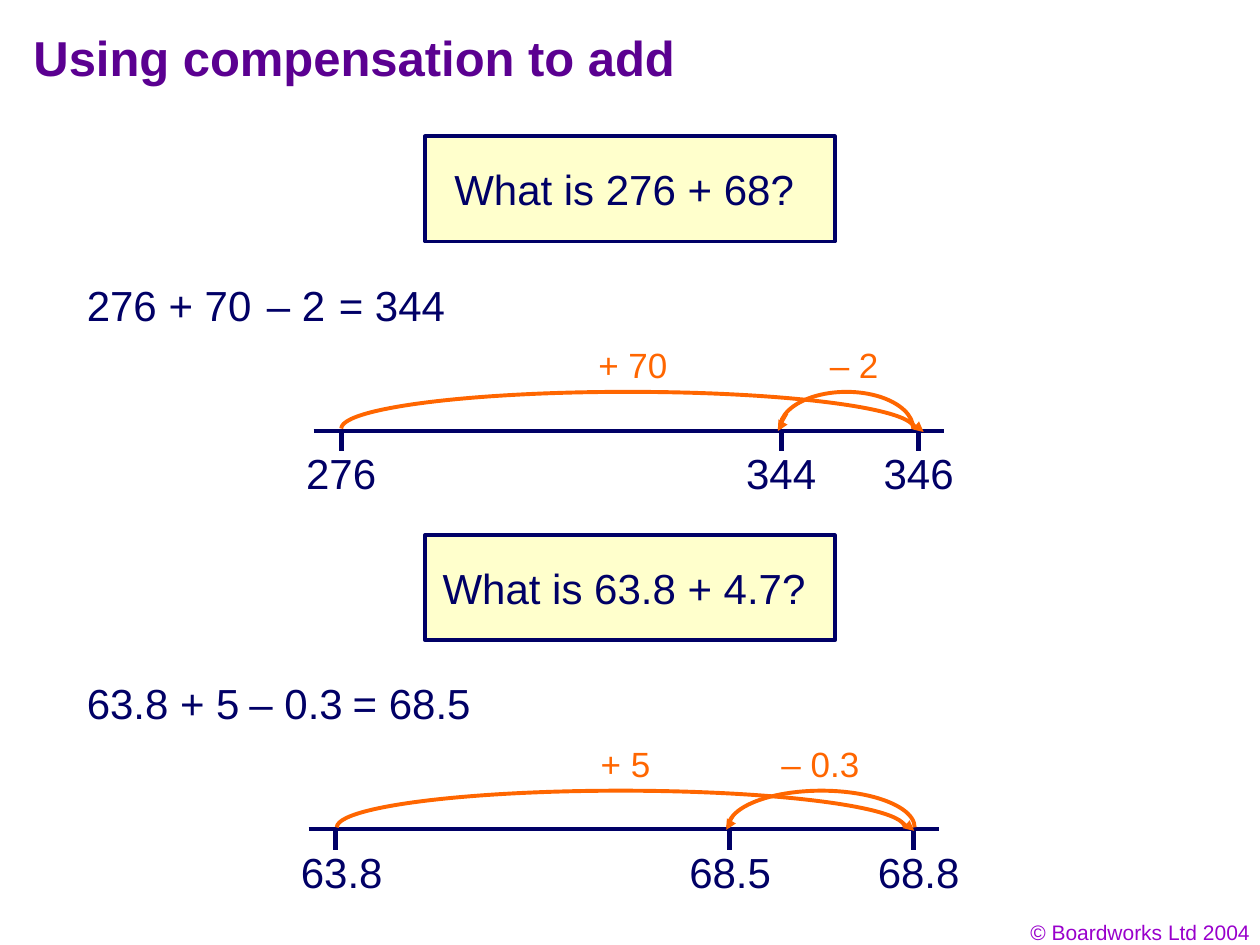
import lxml.etree
import pptx
import pptx.dml.color
import pptx.enum.shapes
import pptx.enum.text
import pptx.oxml.ns
import pptx.util

Cm = pptx.util.Cm
qn = pptx.oxml.ns.qn
ALIGN = pptx.enum.text.PP_ALIGN
ANCHOR = pptx.enum.text.MSO_ANCHOR

NAVY, INK, ORANGE = "000066", "010066", "FF6600"
VALUE = {"size": pptx.util.Pt(24), "name": "Arial"}
JUMP = {"size": pptx.util.Pt(20), "name": "Arial"}
TITLE = {"size": pptx.util.Pt(28), "name": "Arial", "bold": True}
CREDIT = {"size": pptx.util.Pt(12), "name": "Arial"}

# Positions in cm; terms are (text, left, width), ticks (text, x, label centre),
# jumps (text, label centre, label width, arc left, arc right).
PROBLEMS = [
    {
        "top": 2.75,
        "question": "What is 276 + 68? ",
        "terms": [("276", 1.5, 1.9), ("+ 70", 3.15, 2.18),
                  ("– 2", 5.13, 1.68), ("= 344", 6.58, 2.64)],
        "axis_left": 6.32,
        "ticks": [("276", 6.88, 6.88), ("344", 15.75, 15.75), ("346", 18.52, 18.52)],
        "tick_label_width": 1.9,
        "forward": ("+ 70", 12.76, 1.9, 6.88, 18.43),
        "back": ("– 2", 17.22, 1.47, 15.72, 18.41),
    },
    {
        "top": 10.79,
        "question": "What is 63.8 + 4.7? ",
        "terms": [("63.8", 1.5, 2.16), ("+ 5", 3.38, 1.7),
                  ("– 0.3", 4.78, 2.39), ("= 68.5", 6.86, 2.87)],
        "axis_left": 6.22,
        "ticks": [("63.8", 6.76, 6.89), ("68.5", 14.71, 14.72), ("68.8", 18.42, 18.52)],
        "tick_label_width": 2.16,
        "forward": ("+ 5", 12.61, 1.5, 6.79, 18.24),
        "back": ("– 0.3", 16.54, 2.08, 14.68, 18.44),
    },
]


def rgb(value):
    return pptx.dml.color.RGBColor.from_string(value)


def write(sp, text, font, color, align=ALIGN.LEFT, anchor=ANCHOR.TOP, wrap=False):
    tf = sp.text_frame
    frame = {"auto_size": pptx.enum.text.MSO_AUTO_SIZE.NONE,
             "word_wrap": wrap, "vertical_anchor": anchor}
    for name, value in frame.items():
        setattr(tf, name, value)
    p = tf.paragraphs[0]
    p.alignment = align
    r = p.add_run()
    r.text = text
    for name, value in font.items():
        setattr(r.font, name, value)
    r.font.color.rgb = rgb(color)


def add_text(s, x, y, w, h, text, font, color, **layout):
    sp = s.shapes.add_textbox(Cm(x), Cm(y), Cm(w), Cm(h))
    write(sp, text, font, color, **layout)


def add_title(s, text):
    sp = s.shapes.title
    place = {"left": Cm(0.42), "top": Cm(0.42), "width": Cm(21.39), "height": Cm(1.69)}
    for name, value in place.items():
        setattr(sp, name, value)
    write(sp, text, TITLE, "5B0091", wrap=True)


def add_question(s, top, text):
    sp = s.shapes.add_shape(pptx.enum.shapes.MSO_SHAPE.RECTANGLE,
                            Cm(8.57), Cm(top), Cm(8.26), Cm(2.12))
    sp.shadow.inherit = False
    sp.fill.solid()
    sp.fill.fore_color.rgb = rgb("FFFFCC")
    set_line(sp, NAVY, 2.25)
    write(sp, text, VALUE, NAVY, ALIGN.CENTER, ANCHOR.MIDDLE)


def set_line(sp, color, width):
    sp.line.color.rgb = rgb(color)
    sp.line.width = pptx.util.Pt(width)


def add_line(s, x1, y1, x2, y2, color, width, arrow=False):
    cx = s.shapes.add_connector(pptx.enum.shapes.MSO_CONNECTOR.STRAIGHT,
                                Cm(x1), Cm(y1), Cm(x2), Cm(y2))
    set_line(cx, color, width)
    if arrow:
        lxml.etree.SubElement(cx.line._get_or_add_ln(), qn("a:tailEnd"), type="triangle")
    lxml.etree.SubElement(cx._element.spPr, qn("a:effectLst"))


def add_arc(s, left, right, y):
    """Draw the upper half of an ellipse just above the number line at y."""
    top, base = y - 0.78, y - 0.04
    fb = s.shapes.build_freeform(Cm(left), Cm(base))
    fb.add_line_segments([(Cm((left + right) / 2), Cm(top)), (Cm(right), Cm(base))],
                         close=False)
    sp = fb.convert_to_shape()
    sp.shadow.inherit = False
    sp.fill.background()
    set_line(sp, ORANGE, 2.25)
    outline = sp._element.spPr.find(".//" + qn("a:path"))
    for segment in outline.findall(qn("a:lnTo")):
        outline.remove(segment)
    lxml.etree.SubElement(outline, qn("a:arcTo"), wR=str(sp.width // 2),
                          hR=str(sp.height), stAng="10800000", swAng="10800000")


def add_jump(s, y, jump, forward):
    text, centre, width, left, right = jump
    add_text(s, centre - width / 2, y - 1.87, width, 1.12, text, JUMP, ORANGE,
             align=ALIGN.CENTER)
    add_arc(s, left, right, y)
    if forward:
        add_line(s, right - 0.06, y - 0.18, right + 0.19, y + 0.03, ORANGE, 0.75, True)
    else:
        add_line(s, left + 0.16, y - 0.34, left - 0.04, y + 0.01, ORANGE, 0.75, True)


def add_number_line(s, y, left, ticks, label_width):
    add_line(s, left, y, left + 12.7, y, NAVY, 2.25)
    for text, x, centre in ticks:
        add_line(s, x, y, x, y + 0.42, NAVY, 3)
        add_text(s, centre - label_width / 2, y + 0.21, label_width, 1.27,
                 text, VALUE, INK, align=ALIGN.CENTER)


def add_problem(s, problem):
    top = problem["top"]
    y = top + 5.93
    add_question(s, top, problem["question"])
    for text, x, width in problem["terms"]:
        add_text(s, x, top + 2.75, width, 1.27, text, VALUE, INK)
    add_number_line(s, y, problem["axis_left"], problem["ticks"],
                    problem["tick_label_width"])
    add_jump(s, y, problem["back"], forward=False)
    add_jump(s, y, problem["forward"], forward=True)


def main():
    prs = pptx.Presentation()
    prs.slide_width, prs.slide_height = Cm(25.4), Cm(19.05)
    s = prs.slides.add_slide(prs.slide_layouts.get_by_name("Title Only"))
    add_title(s, "Using compensation to add")
    for problem in PROBLEMS:
        add_problem(s, problem)
    add_text(s, 19.53, 18.42, 5.92, 0.76, "© Boardworks Ltd 2004", CREDIT, "9900CC",
             align=ALIGN.RIGHT, wrap=True)
    prs.save("out.pptx")


if __name__ == "__main__":
    main()
